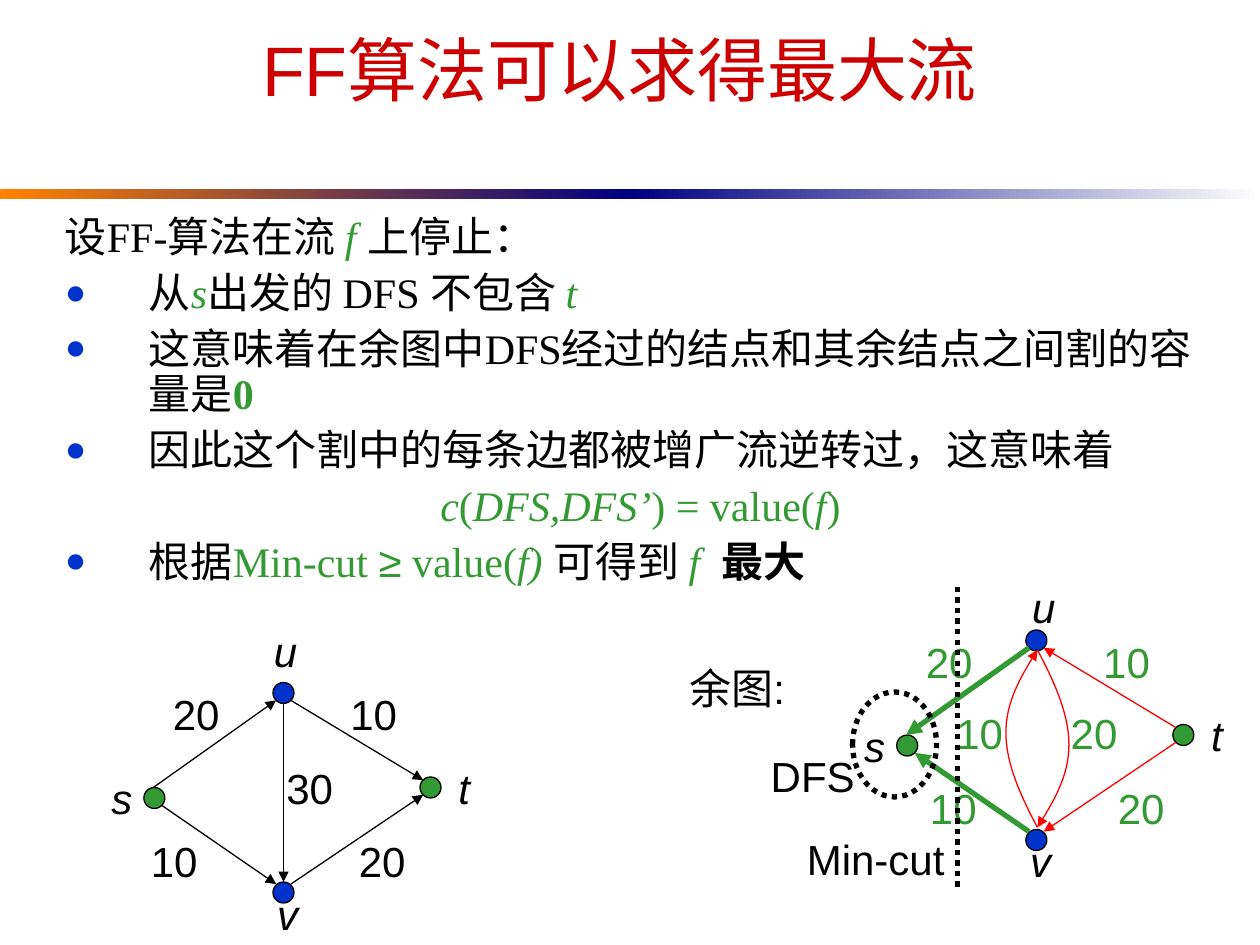
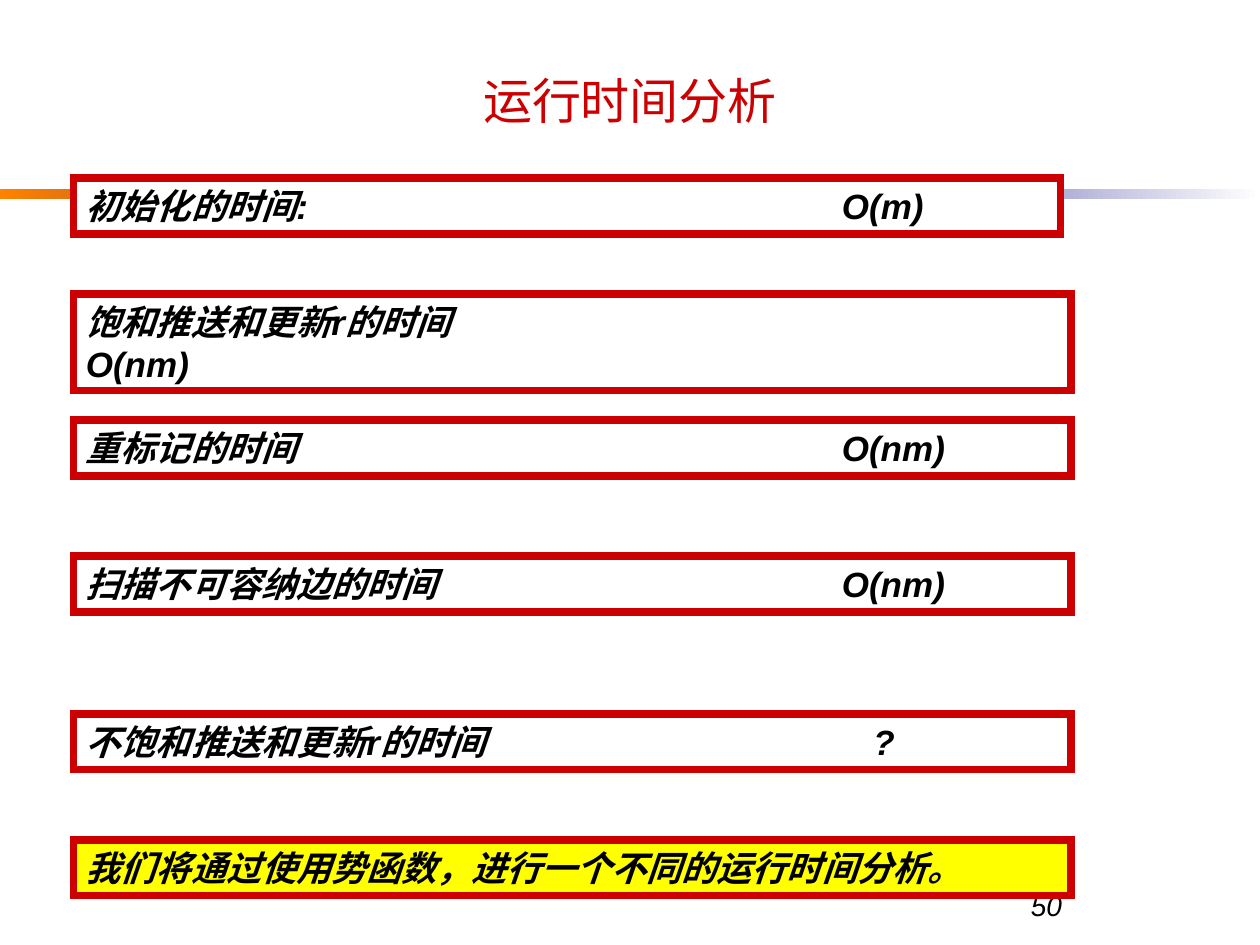
from lxml.etree import SubElement
from pptx import Presentation
from pptx.dml.color import RGBColor
from pptx.enum.dml import MSO_LINE
from pptx.enum.shapes import MSO_CONNECTOR, MSO_SHAPE
from pptx.enum.text import MSO_ANCHOR, MSO_AUTO_SIZE, PP_ALIGN
from pptx.oxml.ns import qn
from pptx.util import Pt

PX = 7620
COLORS = {"red": "CC0000", "green": "339933", "blue": "0033CC", "black": "000000",
          "white": "FFFFFF", "yellow": "FFFF00", "edge": "FF0000",
          "orange": "FF8200", "navy": "000082"}
BANDS = [(0, "orange", "navy"), (600, "navy", "white")]

PROOF_TITLE = ("FF算法可以求得最大流", (40, -10, 1100, 150), 40)
PROOF = [
    ("plain", [("设FF-算法在流 ", ""), ("f ", "green italic"), ("上停止：", "")]),
    ("bullet", [("从", ""), ("s", "green italic"), ("出发的 DFS 不包含 ", ""),
                ("t", "green italic")]),
    ("bullet", [("这意味着在余图中DFS经过的结点和其余结点之间割的容量是", ""),
                ("0", "green bold")]),
    ("bullet", [("因此这个割中的每条边都被增广流逆转过，这意味着", "")]),
    ("formula", [("c", "green italic"), ("(", "green"), ("DFS,DFS’", "green italic"),
                 (") = value(", "green"), ("f", "green italic"), (") ", "green")]),
    ("bullet", [("根据", ""), ("Min-cut ", "green"), ("≥", "green arial"),
                (" value(", "green"), ("f", "green italic"), (") ", "green italic"),
                ("可得到 ", ""), ("f  ", "green italic"), ("最大", "bold")]),
]

NODES = [(137, 750, "green"), (260, 650, "blue"), (400, 740, "green"), (260, 840, "blue")]
EDGES = {"su": ((146, 750), (263, 667)), "sv": ((154, 767), (263, 842)),
         "ut": ((277, 667), (403, 743)), "vt": ((277, 842), (403, 757))}
NODE_LABELS = [("s", 116, 760), ("t", 442, 750), ("v", 274, 870)]
FLOW_LABELS = [("u", 272, 620), ("20", 187, 680), ("10", 166, 820), ("20", 364, 820),
               ("10", 356, 680), ("30", 295, 750)]
RESIDUAL_SHIFT = (717, -50)
RESIDUAL_LABELS = [("u", 277, 628), ("20", 187, 680), ("10", 191, 819), ("20", 370, 819),
                   ("10", 356, 680), ("20", 325, 748), ("10", 216, 748)]
CAPTIONS = [("余图:", 702, 655, 126), ("DFS", 774, 739, 106), ("Min-cut", 834, 818, 158)]
V_TO_U = [(988, 788), (972, 758), (958, 727), (958, 698), (958, 671), (972, 644), (988, 619)]
U_TO_V = [(1976 - x, 1407 - y) for x, y in V_TO_U]
DFS_SET = (812, 659, 80, 100)
CUT = ((912, 559), (912, 848))

TIMES_TITLE = ("运行时间分析", (60, 30, 1080, 130), 28)
TIMES = [
    (170, 940, 53, "white", "初始化的时间:\tO(m)", 720),
    (280, 950, 92, "white", "饱和推送和更新r的时间\vO(nm)", 720),
    (400, 950, 53, "white", "重标记的时间\tO(nm)", 720),
    (530, 950, 53, "white", "扫描不可容纳边的时间\tO(nm)", 720),
    (680, 950, 53, "white", "不饱和推送和更新r的时间\t?", 750),
    (800, 950, 53, "yellow", "我们将通过使用势函数，进行一个不同的运行时间分析。", 720),
]
PAGE = ("50", (970, 840, 230, 60))


def rgb(name):
    return RGBColor.from_string(COLORS[name])


def emu(*lengths):
    return [length * PX for length in lengths]


def set_font(font, size, name="Arial", color="black", bold=False, italic=False):
    font.size, font.name, font.bold, font.italic = Pt(size), name, bold, italic
    font.color.rgb = rgb(color)


def add_preset(slide, preset, place, fill=None, line=None, width=0.75):
    shape = slide.shapes.add_shape(preset, *emu(*place))
    shape.shadow.inherit = False
    if fill:
        shape.fill.solid()
        shape.fill.fore_color.rgb = rgb(fill)
    else:
        shape.fill.background()
    if line:
        shape.line.color.rgb = rgb(line)
        shape.line.width = Pt(width)
    else:
        shape.line.fill.background()
    return shape


def add_text(slide, text, place, size, align=PP_ALIGN.CENTER, anchor=MSO_ANCHOR.MIDDLE,
             label=False, **style):
    frame = slide.shapes.add_textbox(*emu(*place)).text_frame
    frame.word_wrap, frame.vertical_anchor = not label, anchor
    if label:
        frame.auto_size = MSO_AUTO_SIZE.SHAPE_TO_FIT_TEXT
    paragraph = frame.paragraphs[0]
    paragraph.text, paragraph.alignment = text, align
    set_font(paragraph.font, size, **style)


def add_page(deck, title):
    slide = deck.slides.add_slide(deck.slide_layouts[6])
    for left, start, end in BANDS:
        band = add_preset(slide, MSO_SHAPE.RECTANGLE, (left, 180, 600, 10))
        band.fill.gradient()
        band.fill.gradient_angle = 0
        for stop, color in zip(band.fill.gradient_stops, (start, end)):
            stop.color.rgb = rgb(color)
    text, place, size = title
    add_text(slide, text, place, size, color="red")
    return slide


def add_arrowhead(shape):
    SubElement(shape.line._get_or_add_ln(), qn("a:tailEnd"), type="triangle")


def add_line(slide, start, end, color="black", width=0.75, arrow=True):
    line = slide.shapes.add_connector(MSO_CONNECTOR.STRAIGHT, *emu(*start, *end))
    line.line.color.rgb = rgb(color)
    line.line.width = Pt(width)
    if arrow:
        add_arrowhead(line)
    SubElement(line._element.spPr, qn("a:effectLst"))
    return line


def add_curve(slide, points):
    builder = slide.shapes.build_freeform(*points[0], scale=PX)
    builder.add_line_segments(points[1:], close=False)
    curve = builder.convert_to_shape()
    outline = next(curve._element.iter(qn("a:path")))
    steps = outline.findall(qn("a:lnTo"))
    for i in range(0, len(steps), 3):
        bezier = SubElement(outline, qn("a:cubicBezTo"))
        for step in steps[i:i + 3]:
            bezier.append(step[0])
            outline.remove(step)
    curve.shadow.inherit = False
    curve.fill.background()
    curve.line.color.rgb = rgb("edge")
    curve.line.width = Pt(0.75)
    add_arrowhead(curve)


def add_label(slide, text, x, y, width=None, color="black"):
    width = width or 24 + 24 * len(text)
    add_text(slide, text, (x - width // 2, y - 30, width, 60), 24, label=True,
             color=color, italic=text in "suvt")


def add_graph(slide, labels, shift=(0, 0), residual=False):
    dx, dy = shift
    for x, y, color in NODES:
        add_preset(slide, MSO_SHAPE.OVAL, (x + dx, y + dy, 20, 20), color, "black")
    for name, ends in EDGES.items():
        start, end = [(x + dx, y + dy) for x, y in ends]
        if not residual:
            add_line(slide, start, end)
        elif name[0] == "s":
            add_line(slide, end, start, "green", 3)
        else:
            add_line(slide, end, start, "edge")
    for text, x, y in NODE_LABELS + labels:
        color = "green" if residual and text.isdigit() else "black"
        add_label(slide, text, x + dx, y + dy, color=color)


def add_proof(slide):
    frame = slide.shapes.add_textbox(*emu(50, 200, 1130, 400)).text_frame
    frame.word_wrap = True
    for i, (kind, runs) in enumerate(PROOF):
        paragraph = frame.add_paragraph() if i else frame.paragraphs[0]
        paragraph.line_spacing = 0.9
        if i:
            paragraph.space_before = Pt(6)
        paragraph.alignment = PP_ALIGN.CENTER if kind == "formula" else PP_ALIGN.LEFT
        props = paragraph._p.get_or_add_pPr()
        props.set("marL", str(80 * PX))
        props.set("indent", str(-80 * PX))
        if kind == "bullet":
            SubElement(SubElement(props, qn("a:buClr")), qn("a:srgbClr"), val=COLORS["blue"])
            SubElement(props, qn("a:buSzPct"), val="85000")
            SubElement(props, qn("a:buFont"), typeface="Times New Roman")
            SubElement(props, qn("a:buChar"), char="●")
        else:
            SubElement(props, qn("a:buNone"))
        set_font(paragraph.font, 24, "Times New Roman")
        for text, style in runs:
            run = paragraph.add_run()
            run.text = text
            if "green" in style:
                run.font.color.rgb = rgb("green")
            if "italic" in style:
                run.font.italic = True
            if "bold" in style:
                run.font.bold = True
            if "arial" in style:
                run.font.name = "Arial"


def add_time(slide, top, width, height, fill, text, stop):
    box = add_preset(slide, MSO_SHAPE.RECTANGLE, (70, top, width, height), fill, "red", 4.5)
    SubElement(box.line._get_or_add_ln(), qn("a:miter"), lim="800000")
    frame = box.text_frame
    frame.word_wrap, frame.vertical_anchor = True, MSO_ANCHOR.TOP
    paragraph = frame.paragraphs[0]
    paragraph.text, paragraph.alignment = text, PP_ALIGN.LEFT
    tabs = SubElement(paragraph._p.get_or_add_pPr(), qn("a:tabLst"))
    SubElement(tabs, qn("a:tab"), pos=str(stop * PX), algn="l")
    set_font(paragraph.font, 20, bold=True, italic=True)


def main():
    deck = Presentation()
    deck.slide_width, deck.slide_height = emu(1200, 900)

    proof = add_page(deck, PROOF_TITLE)
    add_proof(proof)
    add_graph(proof, FLOW_LABELS)
    add_line(proof, (270, 670), (270, 840))
    add_graph(proof, RESIDUAL_LABELS, RESIDUAL_SHIFT, residual=True)
    for points in (V_TO_U, U_TO_V):
        add_curve(proof, points)
    dfs_set = add_preset(proof, MSO_SHAPE.OVAL, DFS_SET, None, "black", 3)
    cut = add_line(proof, *CUT, width=3, arrow=False)
    for dotted in (dfs_set, cut):
        dotted.line.dash_style = MSO_LINE.ROUND_DOT
    for caption in CAPTIONS:
        add_label(proof, *caption)

    times = add_page(deck, TIMES_TITLE)
    add_text(times, *PAGE, 16, PP_ALIGN.LEFT, MSO_ANCHOR.TOP, italic=True)
    for row in TIMES:
        add_time(times, *row)

    deck.save("out.pptx")


if __name__ == "__main__":
    main()
